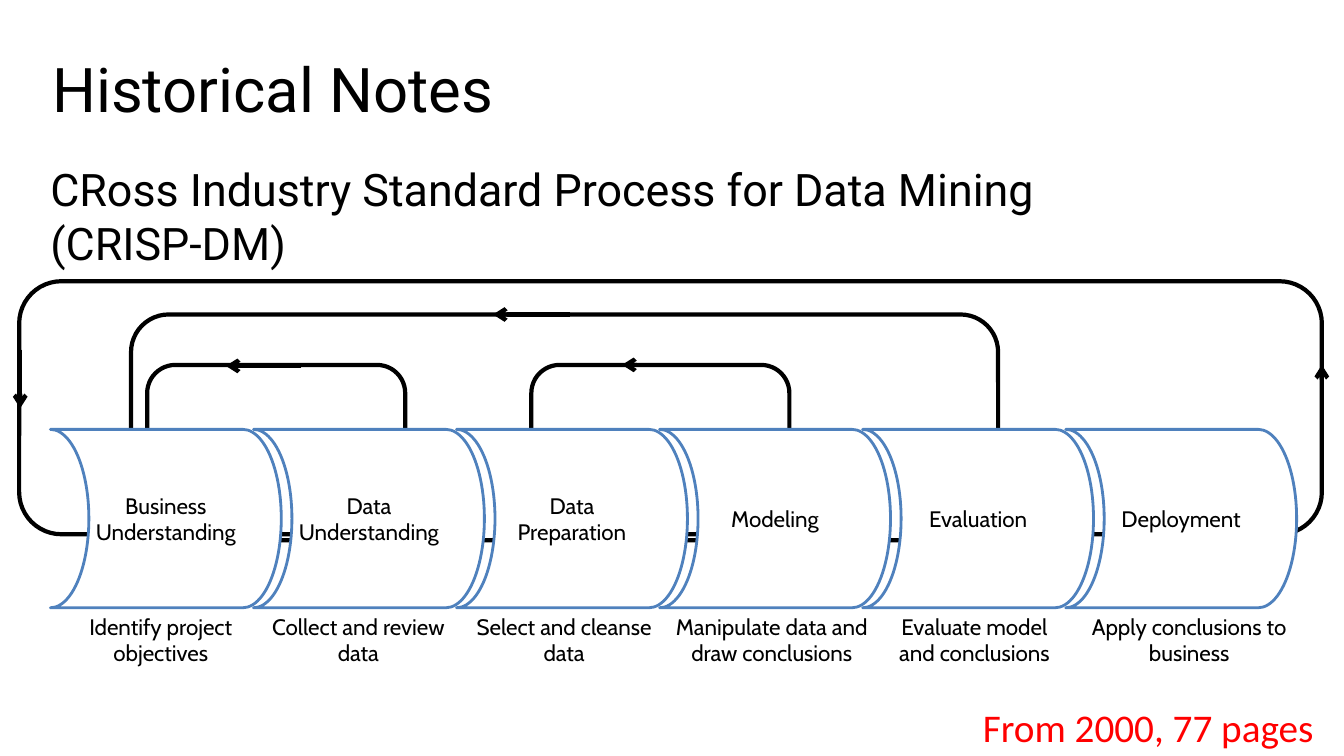
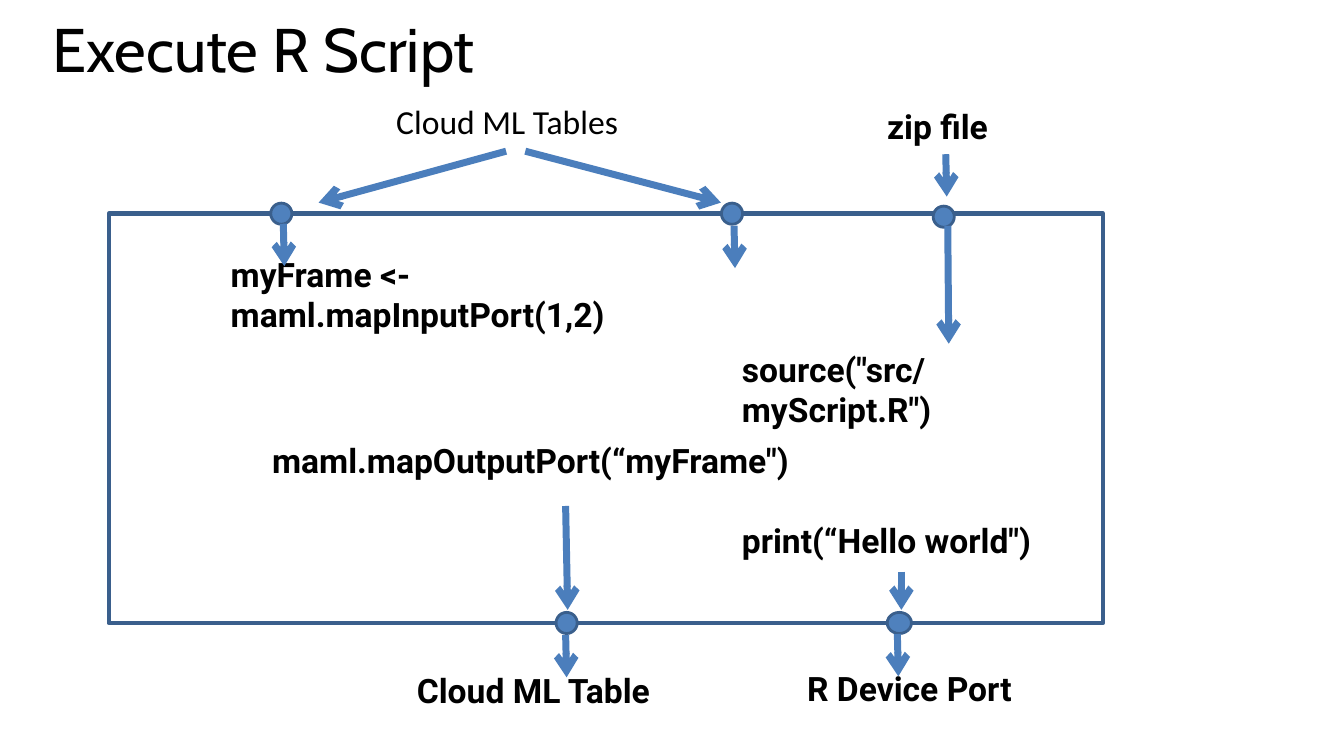
import pptx
import pptx.dml.color
import pptx.enum.shapes
import pptx.enum.text
import pptx.oxml
import pptx.oxml.ns
import pptx.util

# Shared grid (one-inch columns and rows), colours and types
CELL = pptx.util.Inches(1)
COLUMNS, ROWS = 13.33, 7.5
BLACK, WHITE, RED = "000000", "FFFFFF", "FF0000"
BLUE, DARK_BLUE, ARROW_BLUE = "4F81BD", "3A5F8C", "4B7EBC"
SHAPES = pptx.enum.shapes.MSO_SHAPE
CENTER = pptx.enum.text.PP_ALIGN.CENTER
MIDDLE = pptx.enum.text.MSO_ANCHOR.MIDDLE


def grid(*cells):
    return [round(cell * CELL) for cell in cells]


def color(value):
    return pptx.dml.color.RGBColor.from_string(value)


def write(shape, text, size, font, ink=BLACK, bold=False, align=None,
          spacing=None, inset=(0.1, 0.05)):
    frame = shape.text_frame
    frame.word_wrap = True
    frame.margin_left = frame.margin_right = grid(inset[0])[0]
    frame.margin_top = frame.margin_bottom = grid(inset[1])[0]
    paragraph = frame.paragraphs[0]
    paragraph.text = text
    paragraph.alignment = align
    paragraph.line_spacing = spacing
    paragraph.font.size = pptx.util.Pt(size)
    paragraph.font.name = font
    paragraph.font.bold = bold
    paragraph.font.color.rgb = color(ink)


def add_text(slide, area, text, size, font, **style):
    write(slide.shapes.add_textbox(*grid(*area)), text, size, font, **style)


def add_title(slide, top, text, font):
    add_text(slide, (0.42, top, 12.6, 1.16), text, 44, font, spacing=0.8)


def add_outline(slide, kind, area, fill, line, weight):
    shape = slide.shapes.add_shape(kind, *grid(*area))
    shape.shadow.inherit = False
    if fill:
        shape.fill.solid()
        shape.fill.fore_color.rgb = color(fill)
    else:
        shape.fill.background()
    shape.line.color.rgb = color(line)
    shape.line.width = pptx.util.Pt(weight)
    return shape


def add_arrow(slide, ends, ink, weight):
    connector = slide.shapes.add_connector(
        pptx.enum.shapes.MSO_CONNECTOR.STRAIGHT, *grid(*ends))
    connector.line.color.rgb = color(ink)
    connector.line.width = pptx.util.Pt(weight)
    line = connector.line._get_or_add_ln()
    head = pptx.oxml.parse_xml(
        f'<a:tailEnd {pptx.oxml.ns.nsdecls("a")} type="arrow"/>')
    line.append(head)
    line.addnext(pptx.oxml.parse_xml(
        f'<a:effectLst {pptx.oxml.ns.nsdecls("a")}/>'))


def add_stage(slide, left, name):
    stage = add_outline(slide, SHAPES.FLOWCHART_STORED_DATA,
                        (left, 4.26, 2.29, 1.77), WHITE, BLUE, 2)
    stage._element.spPr.xfrm.set("flipH", "1")
    write(stage, name, 16, "Cabin", align=CENTER, inset=(0, 0.05))
    stage.text_frame.vertical_anchor = MIDDLE


def add_port(slide, center, middle, width=0.21, height=0.21):
    add_outline(slide, SHAPES.OVAL,
                (center - width / 2, middle - height / 2, width, height),
                BLUE, DARK_BLUE, 2)


def build_history(slide):
    add_title(slide, 0.6, "Historical Notes", "Roboto")
    add_text(slide, (0.4, 1.56, 10.18, 1.2),
             "CRoss Industry Standard Process for Data Mining (CRISP-DM)",
             32, "Roboto")

    # Feedback loops, partly covered by the stages
    loops = [(0.19, 2.79, 12.92, 2.51), (1.3, 3.12, 8.6, 2.24),
             (1.46, 3.62, 2.56, 1.68), (5.27, 3.62, 2.56, 1.68)]
    for area in loops:
        add_outline(slide, SHAPES.ROUNDED_RECTANGLE, area, WHITE, BLACK, 3)

    # Stages at an equal pitch
    stages = ["Business Understanding", "Data Understanding",
              "Data Preparation", "Modeling", "Evaluation", "Deployment"]
    first, last = 0.5, 10.57
    pitch = (last - first) / (len(stages) - 1)
    for index, name in enumerate(stages):
        add_stage(slide, first + index * pitch, name)

    # Captions: left, width, text
    captions = [(0.56, 2.07, "Identify project objectives"),
                (2.52, 2.07, "Collect and review data"),
                (4.56, 2.07, "Select and cleanse data"),
                (6.54, 2.23, "Manipulate data and draw conclusions"),
                (8.66, 2.01, "Evaluate model and conclusions"),
                (10.68, 2.23, "Apply conclusions to business")]
    for left, width, text in captions:
        add_text(slide, (left, 6.03, width, 0.64), text, 16, "Cabin",
                 align=CENTER)

    # Loop directions
    for ends in [(13.11, 4.2, 13.11, 3.62), (0.2, 3.47, 0.2, 4.05),
                 (5.65, 3.12, 4.89, 3.12), (6.92, 3.62, 6.17, 3.62),
                 (2.99, 3.63, 2.24, 3.63)]:
        add_arrow(slide, ends, BLACK, 3)

    add_text(slide, (9.65, 6.93, 3.68, 0.57), "From 2000, 77 pages",
             28, "Calibri", ink=RED)


def build_script_ports(slide):
    add_title(slide, 0.2, "Execute R Script", "Cabin")

    # Module frame and its ports
    left, top, width, height = frame = (1.08, 2.12, 9.86, 4.06)
    bottom = top + height
    add_outline(slide, SHAPES.RECTANGLE, frame, None, DARK_BLUE, 3.25)
    for center, middle in [(2.79, top), (7.26, top), (9.36, top + 0.03),
                           (5.62, bottom)]:
        add_port(slide, center, middle)
    add_port(slide, 8.92, bottom, width=0.24)

    # Labels: left, top, width, text, alignment
    add_text(slide, (2.73, 0.97, 4.6, 0.53), "Cloud ML Tables", 24,
             "Calibri", align=CENTER, spacing=0.9, inset=(0.13, 0.08))
    labels = [(3.32, 6.6, 3.94, "Cloud ML Table", CENTER),
              (7.1, 6.58, 3.84, "R Device Port", CENTER),
              (2.19, 2.47, 5.56, "myFrame <- maml.mapInputPort(1,2)", None),
              (8.7, 1, 1.35, "zip file", None),
              (7.26, 3.41, 3.68, 'source("src/myScript.R")', None),
              (2.6, 4.32, 6.71, 'maml.mapOutputPort(“myFrame")', None),
              (7.26, 5.11, 3.68, 'print(“Hello world")', None)]
    for left, top, width, text, align in labels:
        add_text(slide, (left, top, width, 0.7), text, 24, "Roboto",
                 bold=True, align=align)

    # Data flow
    for ends in [(5.02, 1.5, 3.16, 2.01), (5.21, 1.5, 7.15, 2.01),
                 (9.38, 1.53, 9.39, 1.95), (9.4, 2.24, 9.41, 3.41),
                 (2.81, 2.22, 2.82, 2.64), (7.28, 2.24, 7.29, 2.66),
                 (5.61, 5.02, 5.63, 6.05), (8.94, 5.67, 8.94, 6.05),
                 (5.61, 6.3, 5.62, 6.72), (8.9, 6.29, 8.91, 6.71)]:
        add_arrow(slide, ends, ARROW_BLUE, 5)


def main():
    presentation = pptx.Presentation()
    presentation.slide_width, presentation.slide_height = grid(COLUMNS, ROWS)
    blank = presentation.slide_layouts[6]
    for build in (build_history, build_script_ports):
        build(presentation.slides.add_slide(blank))
    presentation.save("out.pptx")


if __name__ == "__main__":
    main()
